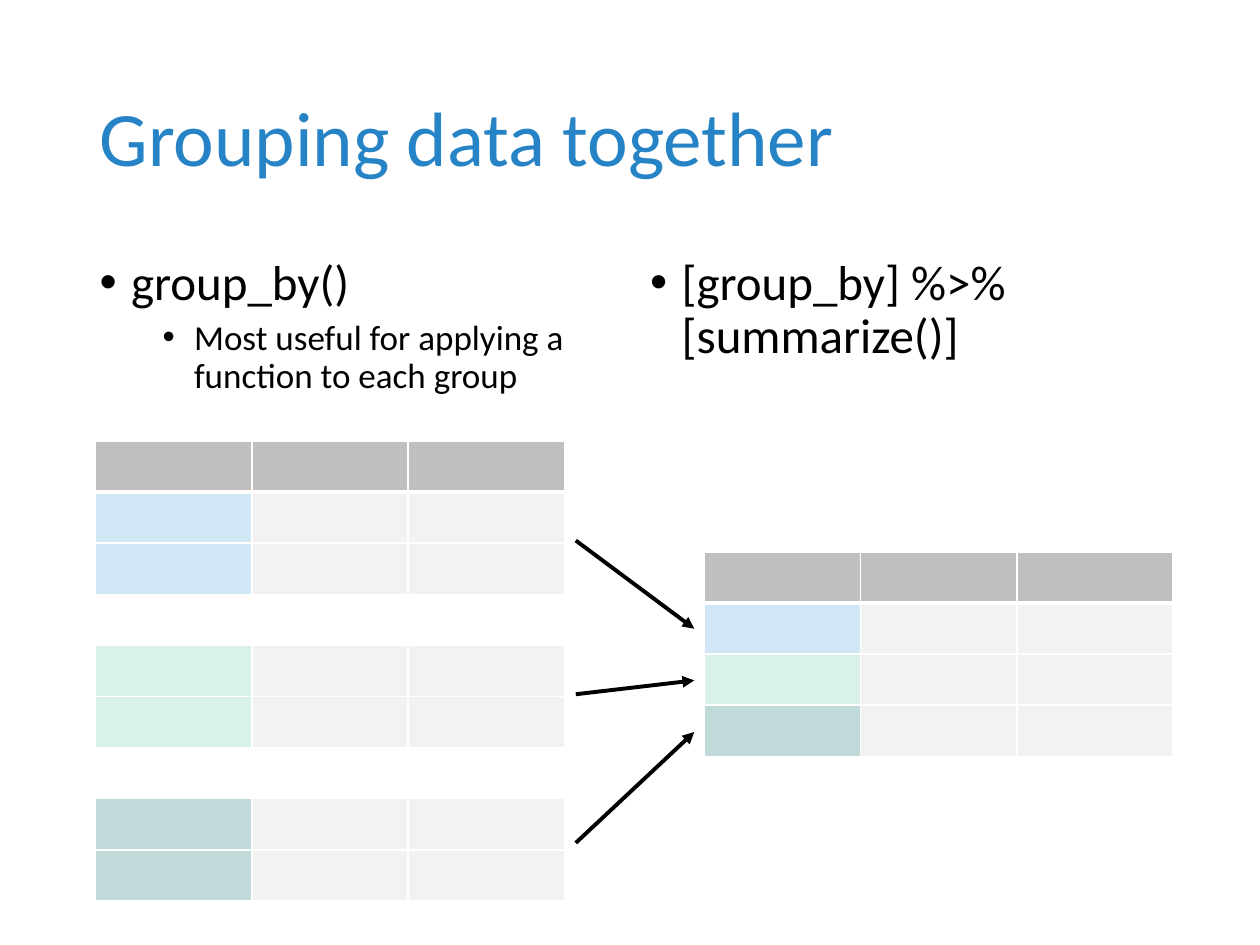
from lxml import etree
from pptx import Presentation
from pptx.dml.color import RGBColor
from pptx.enum.shapes import MSO_CONNECTOR
from pptx.enum.text import MSO_ANCHOR, PP_ALIGN
from pptx.oxml.ns import qn
from pptx.util import Inches, Pt

STRAIGHT = MSO_CONNECTOR.STRAIGHT
MIDDLE, TOP = MSO_ANCHOR.MIDDLE, MSO_ANCHOR.TOP
LEFT = PP_ALIGN.LEFT

FONT = "Calibri"
BLACK, WHITE, TITLE_BLUE = "000000", "FFFFFF", "2683C6"
HEADER, PLAIN = "BFBFBF", "F2F2F2"
GROUPS = ["D1E7F6", "D9F1EA", "C0DAD9"]
GAP = None

TITLE = "Grouping data together"
# Each body: left edge, then (level, text) items
BODIES = [
    (0.69, [(0, "group_by()"),
            (1, "Most useful for applying a function to each group")]),
    (5.06, [(0, "[group_by] %>% [summarize()]")]),
]
# Level: font size, left margin, space before
LEVELS = {0: (28, 0.25, 10), 1: (20, 0.75, 5)}
HANGING = 0.25

COLUMN_WIDTH, ROW_HEIGHT, COLUMN_COUNT = 1.24, 0.4, 3
# Left, top, colour of the first column in each row below the header
TABLES = [
    (0.76, 3.5, [GROUPS[0], GROUPS[0], GAP, GROUPS[1], GROUPS[1], GAP,
                 GROUPS[2], GROUPS[2]]),
    (5.59, 4.38, GROUPS),
]
ARROW_LEFT, ARROW_RIGHT = 4.57, 5.51
ARROW_HEIGHTS = [(4.29, 4.99), (5.51, 5.4), (6.69, 5.81)]


def color(hex_value):
    return RGBColor.from_string(hex_value)


def style_font(font, size, hex_value):
    font.name, font.size = FONT, Pt(size)
    font.color.rgb = color(hex_value)


def place(shape, left, top, width, height):
    shape.left, shape.top = Inches(left), Inches(top)
    shape.width, shape.height = Inches(width), Inches(height)


def add_items(text_frame, items):
    """Fill a body placeholder with bulleted items."""
    text_frame.word_wrap = True
    text_frame.vertical_anchor = TOP
    for index, (level, text) in enumerate(items):
        paragraph = text_frame.paragraphs[0] if index == 0 else text_frame.add_paragraph()
        paragraph.text = text
        paragraph.level = level
        size, margin, space = LEVELS[level]
        paragraph.line_spacing = 0.9
        paragraph.space_before = Pt(space if index else 0)
        properties = paragraph._p.get_or_add_pPr()
        properties.set("marL", str(Inches(margin)))
        properties.set("indent", str(-Inches(HANGING)))
        etree.SubElement(properties, qn("a:buFont"), typeface="Arial")
        etree.SubElement(properties, qn("a:buChar"), char="•")
        style_font(paragraph.runs[0].font, size, BLACK)


def add_border(cell, side, width):
    line = etree.SubElement(cell._tc.get_or_add_tcPr(), qn(f"a:ln{side}"), w=str(Pt(width)))
    fill = etree.SubElement(line, qn("a:solidFill"))
    etree.SubElement(fill, qn("a:srgbClr"), val=WHITE)


def add_group_table(slide, left, top, row_colors):
    rows = [[HEADER] * COLUMN_COUNT]
    for group in row_colors:
        rows.append([WHITE] * COLUMN_COUNT if group is GAP
                    else [group] + [PLAIN] * (COLUMN_COUNT - 1))
    table = slide.shapes.add_table(
        len(rows), COLUMN_COUNT, Inches(left), Inches(top),
        Inches(COLUMN_WIDTH * COLUMN_COUNT), Inches(ROW_HEIGHT * len(rows))).table
    for row_index, fills in enumerate(rows):
        for column_index, hex_value in enumerate(fills):
            cell = table.cell(row_index, column_index)
            add_border(cell, "L", 1)
            add_border(cell, "R", 1)
            add_border(cell, "T", 3 if row_index == 1 else 1)
            add_border(cell, "B", 3 if row_index == 0 else 1)
            cell.fill.solid()
            cell.fill.fore_color.rgb = color(hex_value)


def add_arrow(slide, start_y, end_y):
    arrow = slide.shapes.add_connector(
        STRAIGHT, Inches(ARROW_LEFT), Inches(start_y), Inches(ARROW_RIGHT), Inches(end_y))
    arrow.line.color.rgb = color(BLACK)
    arrow.line.width = Pt(2.25)
    etree.SubElement(arrow.line._get_or_add_ln(), qn("a:tailEnd"), type="triangle")
    etree.SubElement(arrow._element.spPr, qn("a:effectLst"))


def main():
    presentation = Presentation()
    presentation.slide_width, presentation.slide_height = Inches(10), Inches(7.5)
    slide = presentation.slides.add_slide(presentation.slide_layouts[3])

    title = slide.shapes.title
    place(title, 0.69, 0.4, 8.62, 1.45)
    title.text_frame.text = TITLE
    title.text_frame.vertical_anchor = MIDDLE
    paragraph = title.text_frame.paragraphs[0]
    paragraph.alignment = LEFT
    paragraph.line_spacing = 0.9
    style_font(paragraph.runs[0].font, 44, TITLE_BLUE)

    for index, (left, items) in enumerate(BODIES, start=1):
        body = slide.placeholders[index]
        place(body, left, 2, 4.25, 4.76)
        add_items(body.text_frame, items)

    for left, top, row_colors in TABLES:
        add_group_table(slide, left, top, row_colors)
    for start_y, end_y in ARROW_HEIGHTS:
        add_arrow(slide, start_y, end_y)

    presentation.save("out.pptx")


if __name__ == "__main__":
    main()
